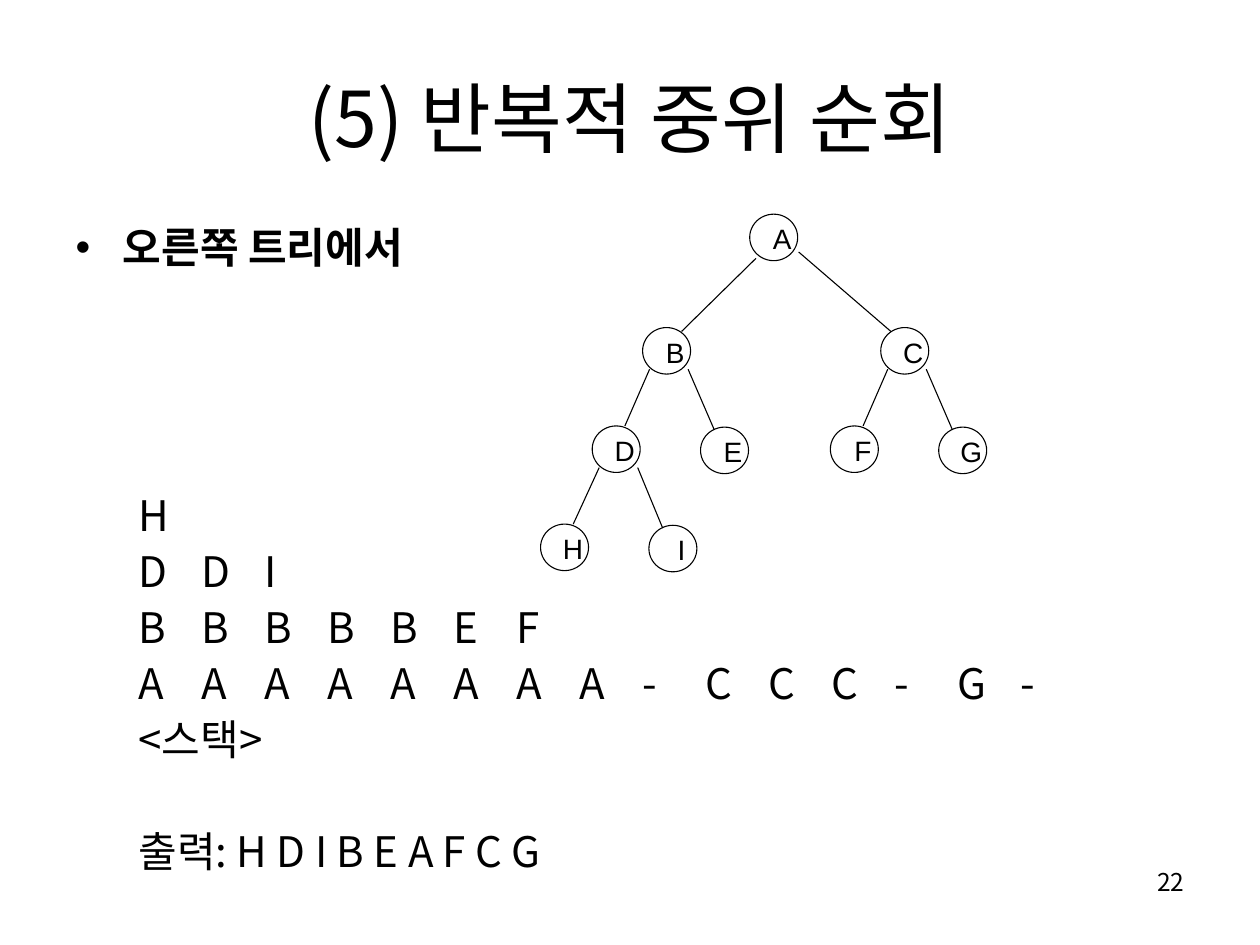
from dataclasses import dataclass

from lxml.etree import SubElement
from pptx import Presentation
from pptx.dml.color import RGBColor
from pptx.enum.shapes import MSO_CONNECTOR as Connector, MSO_SHAPE as Shape
from pptx.enum.text import MSO_ANCHOR as Anchor, MSO_AUTO_SIZE as AutoSize, PP_ALIGN as Align
from pptx.oxml.ns import qn
from pptx.util import Pt

BLACK = RGBColor(0x00, 0x00, 0x00)
WHITE = RGBColor(0xFF, 0xFF, 0xFF)
KOREAN = "Noto Sans CJK KR"
LATIN = "Arial"
NODE_W, NODE_H = 27.4, 26.6
LINE_W = 0.62


@dataclass(frozen=True)
class Node:
    name: str
    x: float
    y: float


@dataclass(frozen=True)
class Joint:
    start: tuple[float, float]
    end: tuple[float, float]


@dataclass(frozen=True)
class Edge:
    parent: str
    child: str
    joint: Joint


@dataclass(frozen=True)
class Row:
    words: tuple[str, ...]
    stops: tuple[float, ...]
    before: float = 6


ROOT_LEFT = Joint((3.6, 25.2), (22.3, 2.2))
ROOT_RIGHT = Joint((28, 21.6), (5.8, 2.2))
LEFT = Joint((4, 23.8), (18.7, 0))
RIGHT = Joint((26, 23.8), (7.9, 1.6))

NODES = [
    Node("A", 428.4, 122.4),
    Node("B", 367.2, 187.2), Node("C", 503.3, 187.2),
    Node("D", 338.4, 243.4), Node("E", 400.3, 244.1),
    Node("F", 474.5, 243.4), Node("G", 536.4, 244.1),
    Node("H", 308.9, 299.5), Node("I", 370.8, 300.2),
]
EDGES = [
    Edge("A", "B", ROOT_LEFT), Edge("A", "C", ROOT_RIGHT),
    Edge("B", "D", LEFT), Edge("B", "E", RIGHT),
    Edge("C", "F", LEFT), Edge("C", "G", RIGHT),
    Edge("D", "H", LEFT), Edge("D", "I", RIGHT),
]
ROWS = [
    Row(("H",), (38.5,), 127),
    Row(("D", "D", "I"), (38.5, 79, 149)),
    Row(("B", "B", "B", "B", "B", "E", "F"), (38.5, 78.5, 111.5, 146, 185.5, 251, 378.5)),
    Row(tuple("AAAAAAAA-CCC-G-"),
        (39.5, 77, 109, 141, 175, 208, 241, 274, 307, 327, 361, 394.5, 429, 463, 498)),
    Row(("<스택>",), (31.5,)),
    Row(("출력: H D I B E A F C G",), (33.5,), 38),
]


def write(p, text: str, size: float, font: str = KOREAN, bold: bool = False,
          align: Align = Align.LEFT) -> None:
    p.alignment = align
    r = p.add_run()
    r.text = text
    r.font.size = Pt(size)
    r.font.name = font
    r.font.bold = bold
    r.font.color.rgb = BLACK
    SubElement(r._r.get_or_add_rPr(), qn("a:ea")).set("typeface", font)


def place(sp, x: float, y: float, w: float, h: float) -> None:
    sp.left, sp.top, sp.width, sp.height = Pt(x), Pt(y), Pt(w), Pt(h)


def space(p, before: float) -> None:
    p.line_spacing = Pt(26)
    p.space_before = Pt(before)


def add_row(tf, row: Row) -> None:
    p = tf.add_paragraph()
    write(p, "".join("\t" + word for word in row.words), 24)
    space(p, row.before)
    pPr = p._p.get_or_add_pPr()
    pPr.set("marL", "0")
    pPr.set("indent", "0")
    SubElement(pPr, qn("a:buNone"))
    tabs = SubElement(pPr, qn("a:tabLst"))
    for stop in row.stops:
        tab = SubElement(tabs, qn("a:tab"))
        tab.set("pos", str(int(Pt(stop))))
        tab.set("algn", "l")


def add_edge(s, edge: Edge, nodes: dict[str, Node]) -> None:
    a, b = nodes[edge.parent], nodes[edge.child]
    (dx1, dy1), (dx2, dy2) = edge.joint.start, edge.joint.end
    line = s.shapes.add_connector(Connector.STRAIGHT, Pt(a.x + dx1), Pt(a.y + dy1),
                                  Pt(b.x + dx2), Pt(b.y + dy2))
    line.line.color.rgb = BLACK
    line.line.width = Pt(LINE_W)
    SubElement(line._element.spPr, qn("a:effectLst"))


def add_node(s, node: Node) -> None:
    sp = s.shapes.add_shape(Shape.OVAL, Pt(node.x), Pt(node.y), Pt(NODE_W), Pt(NODE_H))
    sp.shadow.inherit = False
    sp.fill.solid()
    sp.fill.fore_color.rgb = WHITE
    sp.line.color.rgb = BLACK
    sp.line.width = Pt(LINE_W)
    label = s.shapes.add_textbox(Pt(node.x + 10.6), Pt(node.y + 4.3), Pt(16), Pt(19.4))
    tf = label.text_frame
    tf.margin_left = tf.margin_right = tf.margin_top = tf.margin_bottom = 0
    tf.word_wrap = False
    write(tf.paragraphs[0], node.name, 16, font=LATIN, align=Align.CENTER)


def main() -> None:
    prs = Presentation()
    prs.slide_width, prs.slide_height = Pt(720), Pt(540)
    s = prs.slides.add_slide(prs.slide_layouts[1])

    number = s.shapes.add_textbox(Pt(516), Pt(492), Pt(168), Pt(37.5))
    number.text_frame.word_wrap = True
    write(number.text_frame.paragraphs[0], "22", 14, align=Align.RIGHT)

    title = s.shapes.title
    place(title, 36, 21.6, 648, 90)
    title.text_frame.auto_size = AutoSize.NONE
    title.text_frame.vertical_anchor = Anchor.MIDDLE
    write(title.text_frame.paragraphs[0], "(5) 반복적 중위 순회", 44, align=Align.CENTER)

    body = s.placeholders[1]
    place(body, 36, 126, 648, 382.3)
    tf = body.text_frame
    tf.auto_size = AutoSize.NONE
    write(tf.paragraphs[0], "오른쪽 트리에서", 24, bold=True)
    space(tf.paragraphs[0], 3)
    for row in ROWS:
        add_row(tf, row)

    nodes = {node.name: node for node in NODES}
    for node in NODES:
        add_node(s, node)
    for edge in EDGES:
        add_edge(s, edge, nodes)

    prs.save("out.pptx")


if __name__ == "__main__":
    main()
